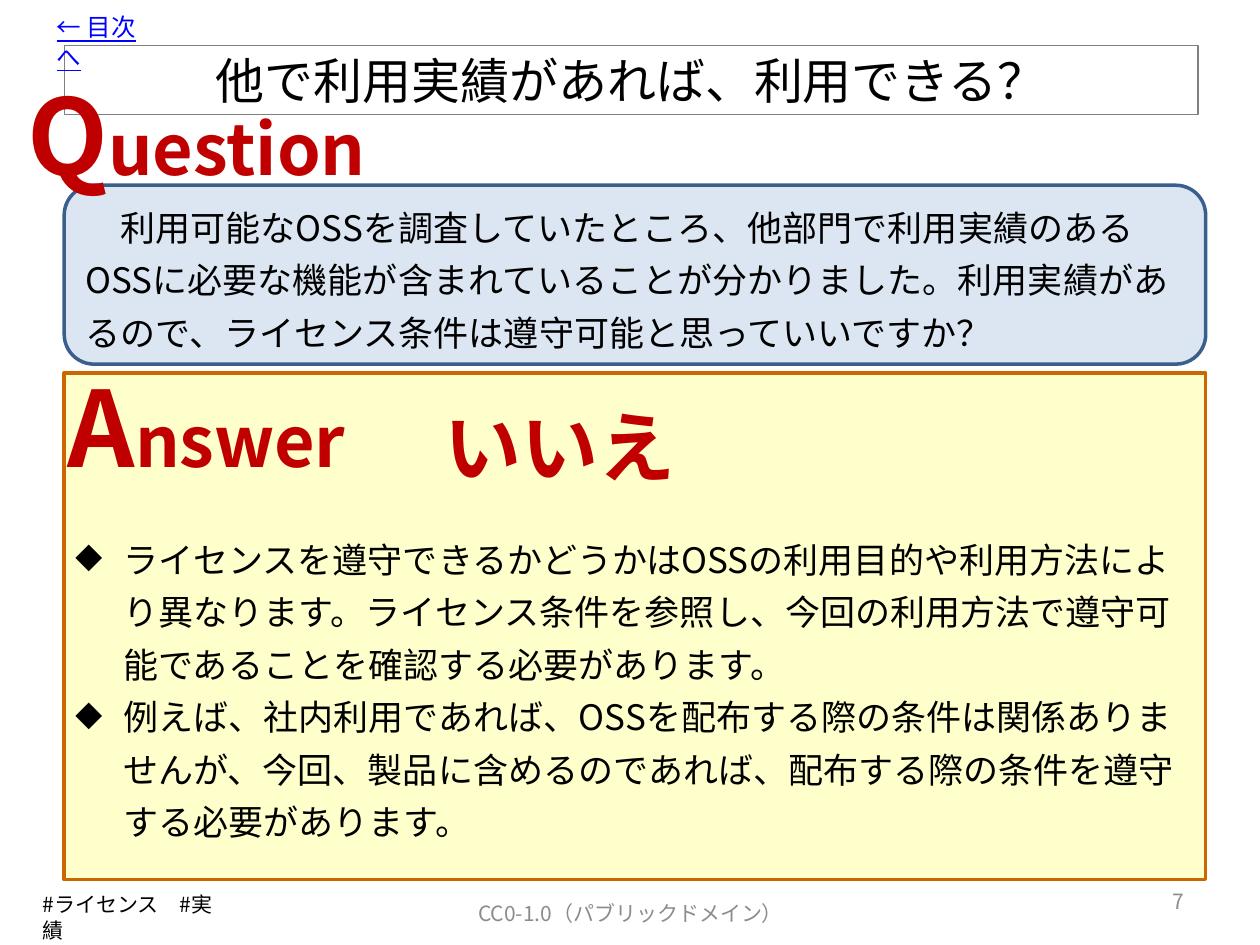
from dataclasses import dataclass
from typing import Optional

from lxml import etree
from pptx import Presentation
from pptx.dml.color import RGBColor
from pptx.enum.shapes import MSO_SHAPE
from pptx.enum.text import MSO_ANCHOR, MSO_AUTO_SIZE, PP_ALIGN
from pptx.oxml.ns import qn
from pptx.util import Inches, Pt

RECT, ROUND = MSO_SHAPE.RECTANGLE, MSO_SHAPE.ROUNDED_RECTANGLE
TOP, MIDDLE = MSO_ANCHOR.TOP, MSO_ANCHOR.MIDDLE
LEFT, CENTER, RIGHT = PP_ALIGN.LEFT, PP_ALIGN.CENTER, PP_ALIGN.RIGHT
GROW, FIXED = MSO_AUTO_SIZE.SHAPE_TO_FIT_TEXT, MSO_AUTO_SIZE.NONE
FACE = "Noto Sans CJK JP"
BLACK, RED, GREY, BLUE = "000000", "C00000", "8C8C8C", "0000FF"
EDGE, WIDE = 0.51, 9.06
HANG = 0.38


@dataclass
class Run:
    text: str
    size: float
    color: str = BLACK
    bold: bool = False
    line: bool = False


@dataclass
class Box:
    at: tuple[float, float, float, float]
    paras: list[list[Run]]
    kind: Optional[MSO_SHAPE] = None
    fill: Optional[str] = None
    edge: Optional[str] = None
    width: float = 2
    anchor: MSO_ANCHOR = TOP
    align: PP_ALIGN = LEFT
    pitch: Optional[float] = None
    bullet: str = ""
    grow: bool = False


def rgb(code: str) -> RGBColor:
    return RGBColor.from_string(code)


def add_bullet(para, mark: str) -> None:
    props = para._p.get_or_add_pPr()
    props.set("marL", str(Inches(HANG)))
    props.set("indent", str(-Inches(HANG)))
    etree.SubElement(props, qn("a:buChar")).set("char", mark)


def add_run(para, item: Run) -> None:
    run = para.add_run()
    run.text = item.text
    style = {"name": FACE, "size": Pt(item.size), "bold": item.bold,
             "underline": item.line}
    for name, value in style.items():
        setattr(run.font, name, value)
    run.font.color.rgb = rgb(item.color)
    latin = run.font._element.find(qn("a:latin"))
    asian = etree.Element(qn("a:ea"))
    asian.set("typeface", FACE)
    latin.addnext(asian)


def add_box(slide, box: Box) -> None:
    place = [Inches(v) for v in box.at]
    if box.kind is None:
        shape = slide.shapes.add_textbox(*place)
    else:
        shape = slide.shapes.add_shape(box.kind, *place)
        shape.shadow.inherit = False
        if box.fill:
            shape.fill.solid()
            shape.fill.fore_color.rgb = rgb(box.fill)
        else:
            shape.fill.background()
        shape.line.color.rgb = rgb(box.edge)
        shape.line.width = Pt(box.width)
    frame = shape.text_frame
    style = {"word_wrap": True, "vertical_anchor": box.anchor,
             "auto_size": GROW if box.grow else FIXED}
    for name, value in style.items():
        setattr(frame, name, value)
    for i, runs in enumerate(box.paras):
        para = frame.add_paragraph() if i else frame.paragraphs[0]
        para.alignment = box.align
        if box.pitch:
            para.line_spacing = Pt(box.pitch)
        if box.bullet:
            add_bullet(para, box.bullet)
        for item in runs:
            add_run(para, item)


def heading(left: float, top: float, width: float, word: str) -> Box:
    """Red label with an enlarged first letter."""
    runs = [Run(word[0], 60, RED, True), Run(word[1:], 40, RED, True)]
    return Box((left, top, width, 1.11), [runs], grow=True)


TITLE = "他で利用実績があれば、利用できる？"
ASK = ("　利用可能なOSSを調査していたところ、他部門で利用実績のあるOSSに必要な機能が"
       "含まれていることが分かりました。利用実績があるので、ライセンス条件は"
       "遵守可能と思っていいですか？")
REPLY = [
    "ライセンスを遵守できるかどうかはOSSの利用目的や利用方法により異なります。"
    "ライセンス条件を参照し、今回の利用方法で遵守可能であることを確認する必要があります。",
    "例えば、社内利用であれば、OSSを配布する際の条件は関係ありませんが、今回、"
    "製品に含めるのであれば、配布する際の条件を遵守する必要があります。",
]
BOXES = [
    Box((EDGE, 2.96, WIDE, 4.02), [], RECT, "FFFFCC", "CC6600"),
    Box((EDGE, 0.36, 9, 0.55), [[Run(TITLE, 28)]], RECT, None, "808080", 0.75,
        MIDDLE, CENTER),
    Box((0.5, 4.14, 9, 2.84), [[Run(text, 20)] for text in REPLY],
        pitch=30, bullet="◆"),
    Box((EDGE, 1.47, WIDE, 1.42), [[Run(ASK, 20)]], ROUND, "DCE6F2", "3A5F8C",
        anchor=MIDDLE, pitch=30),
    Box((3.43, 3.12, 2.13, 0.84), [[Run("いいえ", 44, RED, True)]], grow=True),
    Box((3.42, 7.05, 3.17, 0.4), [[Run("CC0-1.0（パブリックドメイン）", 12, GREY)]],
        anchor=MIDDLE, align=CENTER),
    Box((0.24, 7.03, 1.55, 0.3), [[Run("#ライセンス　#実績", 12)]], grow=True),
    heading(0.12, 0.51, 3.07, "Question"),
    heading(0.44, 2.83, 2.63, "Answer"),
    Box((0.35, 0.05, 1.02, 0.34), [[Run("← 目次へ", 14, BLUE, line=True)]],
        grow=True),
    Box((7.17, 6.95, 2.33, 0.4), [[Run("7", 12, GREY)]],
        anchor=MIDDLE, align=RIGHT),
]


def main() -> None:
    deck = Presentation()
    deck.slide_width, deck.slide_height = Inches(10), Inches(7.5)
    slide = deck.slides.add_slide(deck.slide_layouts[6])
    for box in BOXES:
        add_box(slide, box)
    deck.save("out.pptx")


if __name__ == "__main__":
    main()
